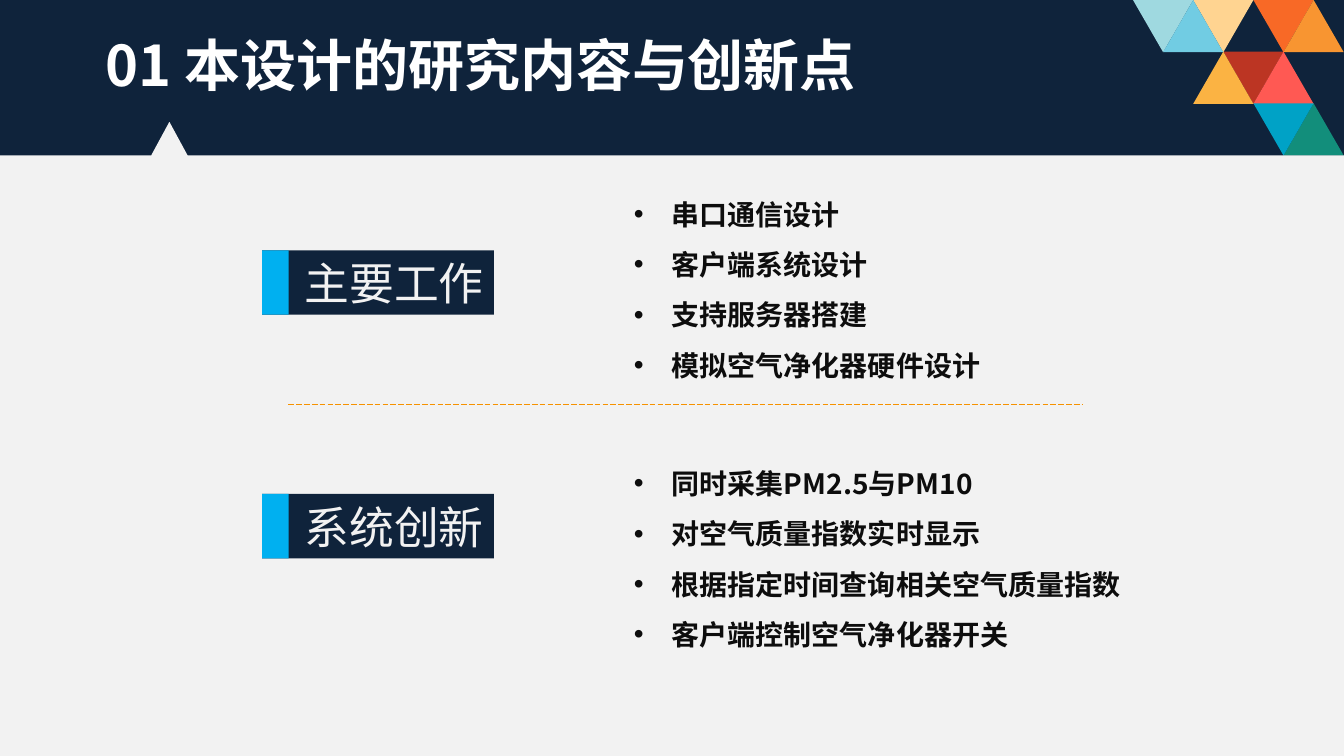
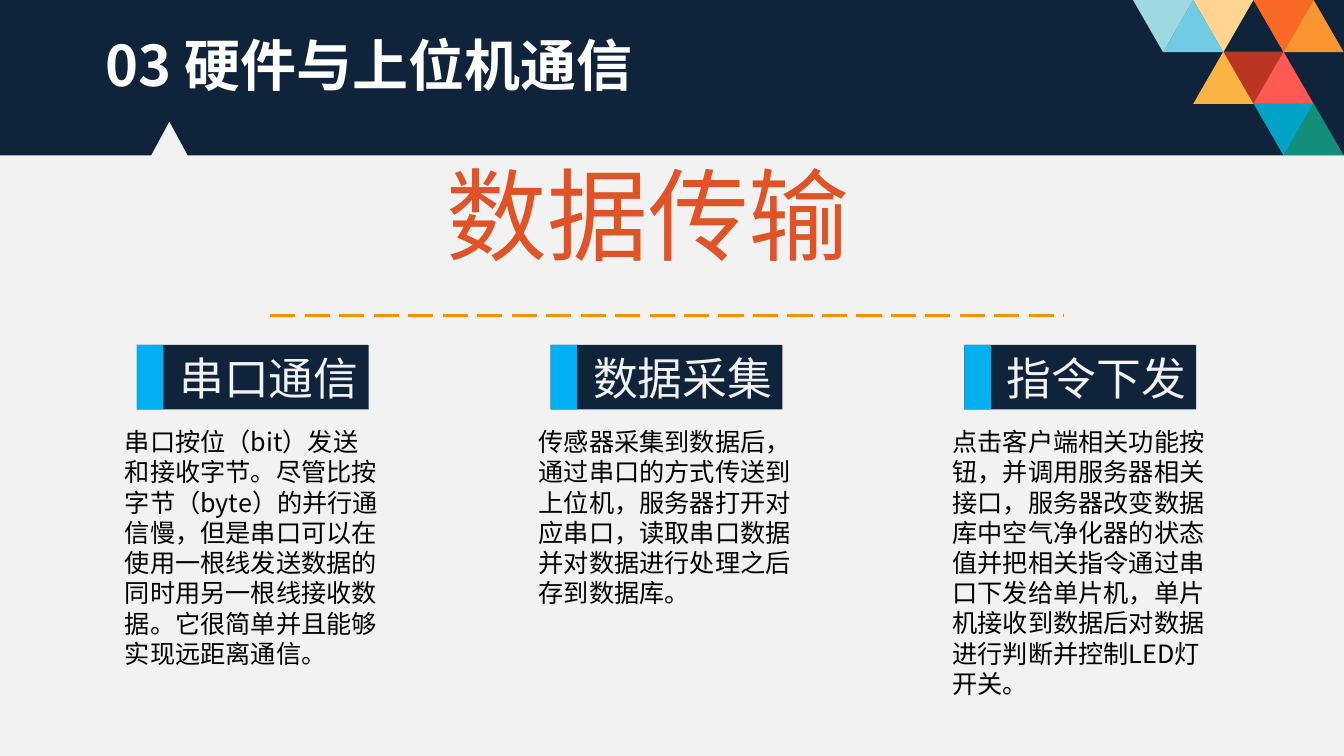
import lxml.etree
import pptx
import pptx.dml.color
import pptx.enum.dml
import pptx.enum.shapes
import pptx.enum.text
import pptx.oxml.ns
import pptx.util

Pt = pptx.util.Pt
qn = pptx.oxml.ns.qn
rgb = pptx.dml.color.RGBColor.from_string
RECTANGLE = pptx.enum.shapes.MSO_SHAPE.RECTANGLE
TRIANGLE = pptx.enum.shapes.MSO_SHAPE.ISOSCELES_TRIANGLE
ALIGN = pptx.enum.text.PP_ALIGN
ANCHOR = pptx.enum.text.MSO_ANCHOR
GROW = pptx.enum.text.MSO_AUTO_SIZE.SHAPE_TO_FIT_TEXT

NAVY, PALE, SKY, AMBER = "0F233B", "F2F2F2", "00B0F0", "F69200"
SANS_SC, SANS_JP = "Noto Sans CJK SC", "Noto Sans CJK JP"
WIDTH, HEIGHT = 960, 540


def paint(shape, colour):
    """Give a shape a flat fill without outline or shadow."""
    shape.fill.solid()
    shape.fill.fore_color.rgb = rgb(colour)
    shape.line.fill.background()
    shape.shadow.inherit = False


def set_font(paragraph, size, colour, bold=False, family=SANS_SC):
    """Set the paragraph font for Latin and East Asian characters alike."""
    font = paragraph.font
    font.size, font.bold, font.name = Pt(size), bold, family
    font.color.rgb = rgb(colour)
    defaults = paragraph._p.pPr.find(qn("a:defRPr"))
    lxml.etree.SubElement(defaults, qn("a:ea"), typeface=family)


deck = pptx.Presentation()
deck.slide_width, deck.slide_height = Pt(WIDTH), Pt(HEIGHT)
layout = deck.slide_layouts[5]

# Slides and their titles
slides = []
for heading, heading_width in [("01 本设计的研究内容与创新点", 622.8),
                               ("03 硬件与上位机通信", 445)]:
    slide = deck.slides.add_slide(layout)
    title = slide.shapes.title
    title.left, title.top = Pt(68.4), Pt(18)
    title.width, title.height = Pt(heading_width), Pt(55.4)
    title.text_frame.text = heading
    title.text_frame.word_wrap = False
    title.text_frame.auto_size = GROW
    title.text_frame.vertical_anchor = ANCHOR.TOP
    title.text_frame.paragraphs[0].alignment = ALIGN.LEFT
    set_font(title.text_frame.paragraphs[0], 40, "FFFFFF", bold=True)
    slides.append(slide)
contents, transfer = slides

# Shared backdrop, drawn once and moved to the layout
backdrop = [contents.shapes.add_shape(RECTANGLE, 0, 0, Pt(WIDTH), Pt(HEIGHT))]
paint(backdrop[0], NAVY)

# Mosaic triangles: column, row, rotation, colour
MOSAIC_LEFT, COLUMN_STEP, ROW_STEP = 809.3, 21.5, 36.9
for column, row, rotation, colour in [
    (3, 1, 180, "BC3523"), (4, 1, 0, "FF5953"),
    (4, 0, 180, "F86926"), (5, 0, 0, "F89531"),
    (2, 1, 0, "FBB343"), (2, 0, 180, "FFD491"),
    (5, 2, 0, "128E7B"), (0, 0, 180, "9FD9E0"),
    (1, 0, 0, "71CCE3"), (4, 2, 180, "00A2C6"),
]:
    tile = contents.shapes.add_shape(
        TRIANGLE, Pt(MOSAIC_LEFT + column * COLUMN_STEP), Pt(row * ROW_STEP),
        Pt(2 * COLUMN_STEP), Pt(37.3))
    tile.rotation = rotation
    paint(tile, colour)
    backdrop.append(tile)

BAND_BOTTOM = 110.7
outline = contents.shapes.build_freeform(121, 87.1, scale=Pt(1))
outline.add_line_segments([
    (134.2, BAND_BOTTOM), (WIDTH, BAND_BOTTOM), (WIDTH, HEIGHT),
    (0, HEIGHT), (0, BAND_BOTTOM), (107.8, BAND_BOTTOM)])
page = outline.convert_to_shape()
paint(page, PALE)
backdrop.append(page)

for order, part in enumerate(backdrop):
    part.element.nvSpPr.cNvPr.set("id", str(100 + order))
    layout.shapes.element.insert(2 + order, part.element)

# Bullet lists on the contents slide
for top, items in [
    (125.3, ["串口通信设计", "客户端系统设计", "支持服务器搭建",
             "模拟空气净化器硬件设计"]),
    (317.5, ["同时采集PM2.5与PM10", "对空气质量指数实时显示",
             "根据指定时间查询相关空气质量指数", "客户端控制空气净化器开关"]),
]:
    frame = contents.shapes.add_textbox(
        Pt(445.7), Pt(top), Pt(386), Pt(152.6)).text_frame
    frame.word_wrap = True
    frame.auto_size = GROW
    for index, item in enumerate(items):
        point = frame.add_paragraph() if index else frame.paragraphs[0]
        point.text = item
        point.line_spacing = 1.5
        properties = point._p.get_or_add_pPr()
        properties.set("marL", str(Pt(27)))
        properties.set("indent", str(Pt(-27)))
        lxml.etree.SubElement(properties, qn("a:buFont"), typeface="Arial")
        lxml.etree.SubElement(properties, qn("a:buChar"), char="•")
        set_font(point, 20, "0D0D0D", bold=True)

# Headline and columns on the transfer slide
FIRST_COLUMN, COLUMN_GAP = 82.1, 295.6
texts = [(311.8, 105.8, 328.3, 94.3, "数据传输", 72, "DF5327")]
for index, (height, passage) in enumerate([
    (181.4, "串口按位（bit）发送和接收字节。尽管比按字节（byte）的并行通信慢，"
            "但是串口可以在使用一根线发送数据的同时用另一根线接收数据。"
            "它很简单并且能够实现远距离通信。"),
    (138.2, "传感器采集到数据后，通过串口的方式传送到上位机，服务器打开对应串口，"
            "读取串口数据并对数据进行处理之后存到数据库。"),
    (203.8, "点击客户端相关功能按钮，并调用服务器相关接口，"
            "服务器改变数据库中空气净化器的状态值并把相关指令通过串口下发给单片机，"
            "单片机接收到数据后对数据进行判断并控制LED灯开关。"),
]):
    texts.append((FIRST_COLUMN + index * COLUMN_GAP, 301, 197.3, height,
                  passage, 18, "000000"))
for left, top, width, height, passage, size, colour in texts:
    frame = transfer.shapes.add_textbox(
        Pt(left), Pt(top), Pt(width), Pt(height)).text_frame
    frame.word_wrap = True
    frame.auto_size = GROW
    frame.text = passage
    set_font(frame.paragraphs[0], size, colour)

# Navy labels with a blue stripe
labels = [(contents, 187.2, 178.8, "主要工作", SANS_JP),
          (contents, 187.2, 352.8, "系统创新", SANS_JP)]
for index, topic in enumerate(["串口通信", "数据采集", "指令下发"]):
    labels.append((transfer, 97.7 + index * COLUMN_GAP, 246.4, topic, SANS_SC))
for slide, left, top, topic, family in labels:
    label = slide.shapes.add_shape(RECTANGLE, Pt(left), Pt(top), Pt(165.6), Pt(46))
    paint(label, NAVY)
    label.text_frame.text = topic
    label.text_frame.vertical_anchor = ANCHOR.MIDDLE
    label.text_frame.paragraphs[0].alignment = ALIGN.RIGHT
    set_font(label.text_frame.paragraphs[0], 32, PALE, family=family)
    stripe = slide.shapes.add_shape(RECTANGLE, Pt(left), Pt(top), Pt(19), Pt(46))
    paint(stripe, SKY)

# Dashed dividers
for slide, start, end, level, weight in [(contents, 205.9, 773.3, 288.8, 0.5),
                                         (transfer, 193, 759.6, 225.4, 2.25)]:
    divider = slide.shapes.add_connector(
        pptx.enum.shapes.MSO_CONNECTOR.STRAIGHT,
        Pt(start), Pt(level), Pt(end), Pt(level))
    divider.line.color.rgb = rgb(AMBER)
    divider.line.width = Pt(weight)
    divider.line.dash_style = pptx.enum.dml.MSO_LINE.LONG_DASH
    lxml.etree.SubElement(divider.element.spPr, qn("a:effectLst"))

deck.save("out.pptx")
